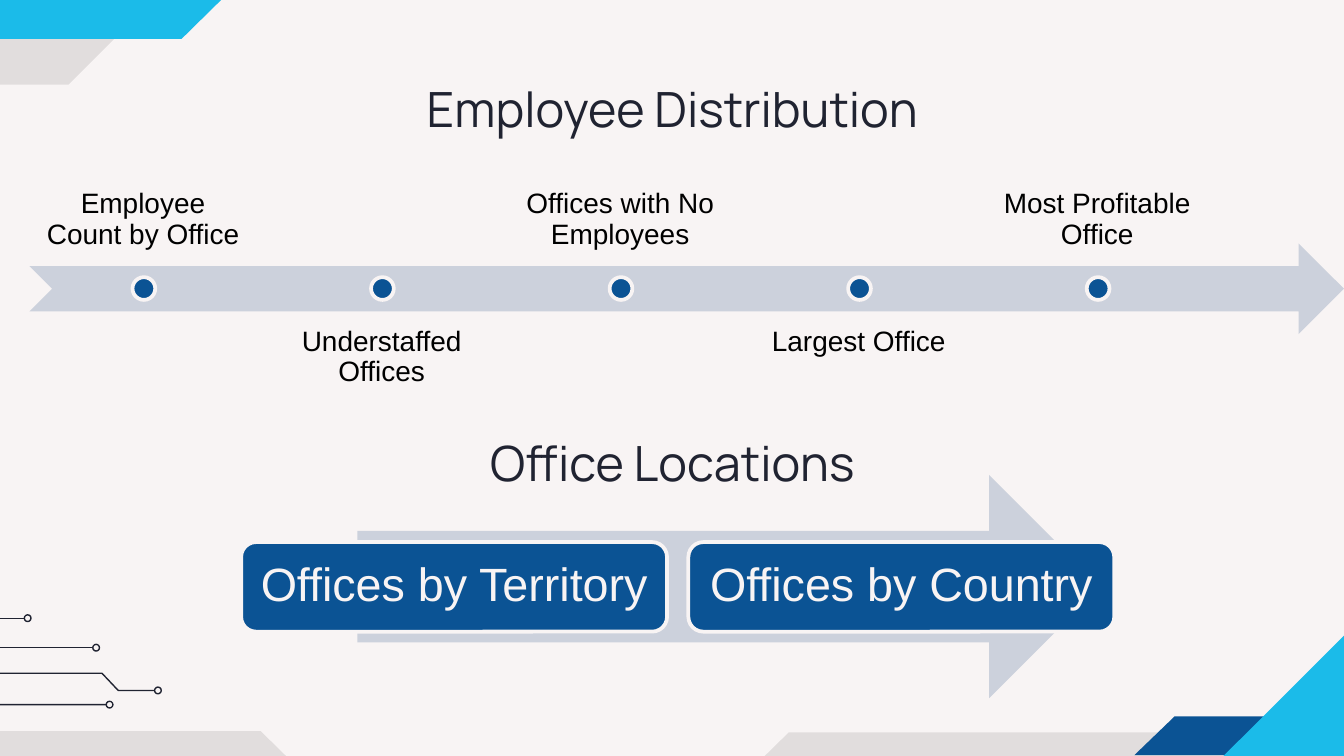
from lxml import etree
from pptx import Presentation
from pptx.dml.color import RGBColor
from pptx.enum import shapes, text
from pptx.oxml import ns
from pptx.util import Pt

PAPER = RGBColor(0xF8, 0xF4, 0xF4)
INK = RGBColor(0x20, 0x23, 0x31)
NAVY = RGBColor(0x0B, 0x53, 0x94)
CYAN = RGBColor(0x1B, 0xBB, 0xE9)
MIST = RGBColor(0xCC, 0xD1, 0xDC)
BLACK = RGBColor(0, 0, 0)

deck = Presentation()
deck.slide_width, deck.slide_height = Pt(720), Pt(405)
page = deck.slides.add_slide(deck.slide_layouts[5])
page.background.fill.solid()
page.background.fill.fore_color.rgb = PAPER


def paint(shape, fill=None, line=None, width=0.75):
    shape.shadow.inherit = False
    if fill is None:
        shape.fill.background()
    else:
        shape.fill.solid()
        shape.fill.fore_color.rgb = fill
    if line is None:
        shape.line.fill.background()
    else:
        shape.line.color.rgb = line
        shape.line.width = Pt(width)


def write(box, words, size, font, color, anchor, inset, spacing=1.0):
    """Put one centred paragraph into a box."""
    frame = box.text_frame
    frame.text = words
    frame.word_wrap = True
    frame.auto_size = text.MSO_AUTO_SIZE.NONE
    frame.vertical_anchor = anchor
    frame.margin_left = frame.margin_right = Pt(inset)
    frame.margin_top = frame.margin_bottom = Pt(inset)
    para = frame.paragraphs[0]
    para.alignment = text.PP_ALIGN.CENTER
    para.line_spacing = spacing
    span = para.runs[0]
    span.font.size = Pt(size)
    span.font.name = font
    span.font.color.rgb = color


# Corner and edge bands: fill, opacity in percent, outline
bands = [
    (BLACK, 9, [(36.7, 45.4), (117.4, -35.3), (141.1, -35.3), (141.1, -76.3),
                (-79.9, -76.3), (-79.9, 45.4)]),
    (BLACK, 9, [(139.7, 391.7), (221, 471.6), (342, 471.6), (422.6, 392.4),
                (720, 392.4), (720, 540), (-16.6, 540), (-16.6, 391.7)]),
    (NAVY, 100, [(607.7, 404.6), (629.3, 383.8), (720, 383.8), (698.4, 404.6)]),
    (CYAN, 100, [(-211.7, 42.5), (-211.7, -195.1), (190.8, -195.1), (190.8, -20.9),
                 (139.7, -20.9), (97.2, 20.9), (-20.9, 20.9), (-43.2, 42.5)]),
    (CYAN, 100, [(726.5, 334.1), (645.8, 414.7), (622.1, 414.7), (622.1, 455),
                 (843.1, 455), (843.1, 334.1)]),
]
for fill, opacity, outline in bands:
    corners = [(Pt(x), Pt(y)) for x, y in outline]
    builder = page.shapes.build_freeform(*corners[0])
    builder.add_line_segments(corners[1:], close=True)
    band = builder.convert_to_shape()
    paint(band, fill)
    if opacity < 100:
        color = band.fill._xPr.find(".//" + ns.qn("a:srgbClr"))
        etree.SubElement(color, ns.qn("a:alpha"), val=str(opacity * 1000))

# Circuit traces, each ending in a small ring
RING = 3.6
traces = [
    [(-181.4, 383.8), (-49.7, 383.8), (-43.2, 377.5), (56.9, 377.5)],
    [(-70.6, 347), (49.7, 347)],
    [(-36.7, 360.7), (54.7, 360.7), (63.4, 369.9), (82.8, 369.9)],
    [(-220.3, 331.2), (13, 331.2)],
]
for trace in traces:
    bends = [(Pt(x), Pt(y)) for x, y in trace]
    if len(bends) == 2:
        wire = page.shapes.add_connector(shapes.MSO_CONNECTOR.STRAIGHT, *bends[0], *bends[1])
        wire.line.color.rgb = INK
        wire.line.width = Pt(0.75)
        etree.SubElement(wire._element.spPr, ns.qn("a:effectLst"))
    else:
        builder = page.shapes.build_freeform(*bends[0])
        builder.add_line_segments(bends[1:], close=False)
        paint(builder.convert_to_shape(), line=INK)
    end_x, end_y = trace[-1]
    ring = page.shapes.add_shape(shapes.MSO_SHAPE.OVAL, Pt(end_x), Pt(end_y - RING / 2),
                                 Pt(RING), Pt(RING))
    paint(ring, line=INK)

# Headings
title = page.shapes.title
title.left, title.top, title.width, title.height = Pt(56.9), Pt(35.3), Pt(607), Pt(45.4)
subtitle = page.shapes.add_textbox(Pt(56.9), Pt(224.9), Pt(607), Pt(45.4))
for heading, words in [(title, "Employee Distribution"), (subtitle, "Office Locations")]:
    write(heading, words, 26, "Manrope", INK, text.MSO_ANCHOR.TOP, 7.2)

# Timeline with labels alternating above and below
timeline = page.shapes.add_shape(shapes.MSO_SHAPE.NOTCHED_RIGHT_ARROW,
                                 Pt(15.8), Pt(130.4), Pt(704.2), Pt(48.6))
paint(timeline, MIST)
STEP, DOT = 127.8, 12.2
topics = ["Employee Count by Office", "Understaffed Offices", "Offices with No Employees",
          "Largest Office", "Most Profitable Office"]
for i, topic in enumerate(topics):
    if i % 2 == 0:
        top, anchor = 93.6, text.MSO_ANCHOR.BOTTOM
    else:
        top, anchor = 167, text.MSO_ANCHOR.TOP
    label = page.shapes.add_textbox(Pt(15.8 + i * STEP), Pt(top), Pt(121.7), Pt(48.8))
    write(label, topic, 15, "Arial", BLACK, anchor, 8.4, 0.9)
    dot = page.shapes.add_shape(shapes.MSO_SHAPE.OVAL, Pt(71 + i * STEP), Pt(148.5),
                                Pt(DOT), Pt(DOT))
    paint(dot, NAVY, PAPER, 2)

# Location arrow and its two cards
arrow = page.shapes.add_shape(shapes.MSO_SHAPE.RIGHT_ARROW,
                              Pt(191.5), Pt(254.5), Pt(398.2), Pt(119.5))
paint(arrow, MIST)
for i, words in enumerate(["Offices by Territory", "Offices by Country"]):
    card = page.shapes.add_shape(shapes.MSO_SHAPE.ROUNDED_RECTANGLE,
                                 Pt(129.2 + i * 239.6), Pt(290.4), Pt(228.2), Pt(48))
    paint(card, NAVY, PAPER, 2)
    write(card, words, 25, "Arial", PAPER, text.MSO_ANCHOR.MIDDLE, 7.2, 0.9)

deck.save("out.pptx")
